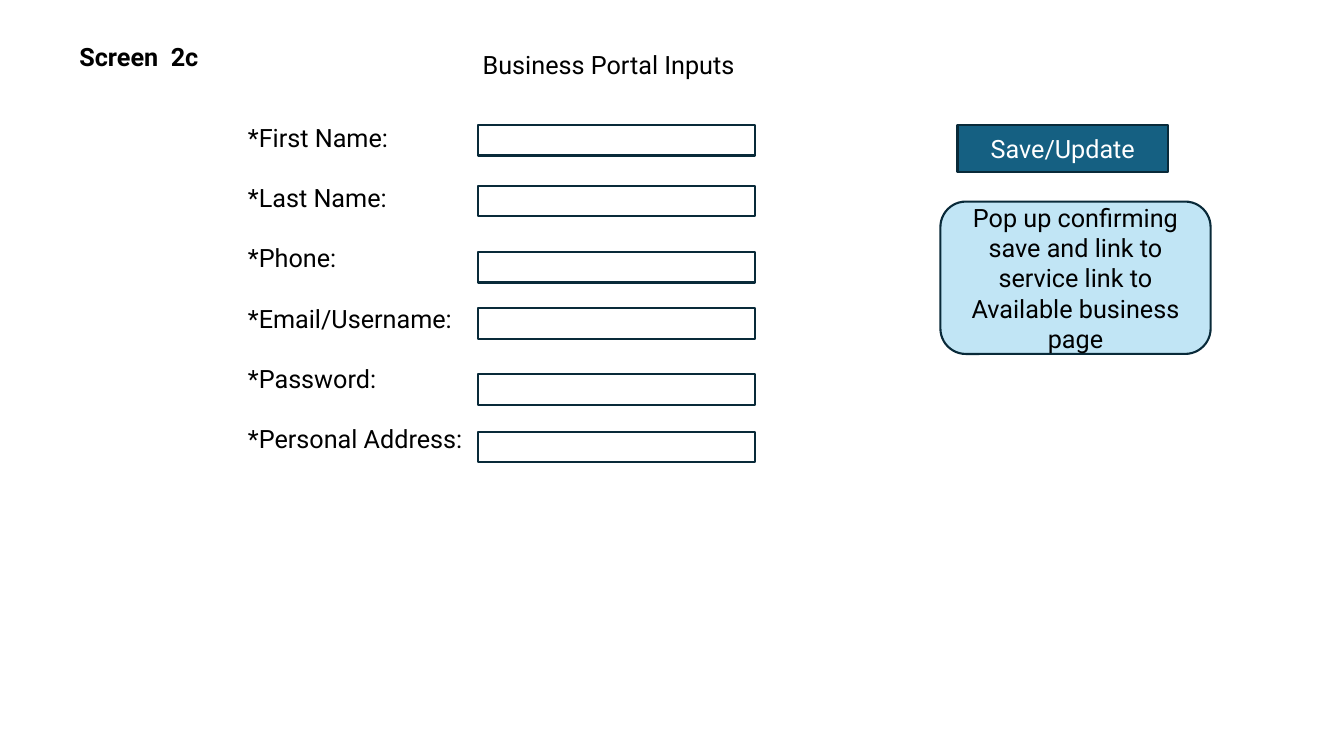
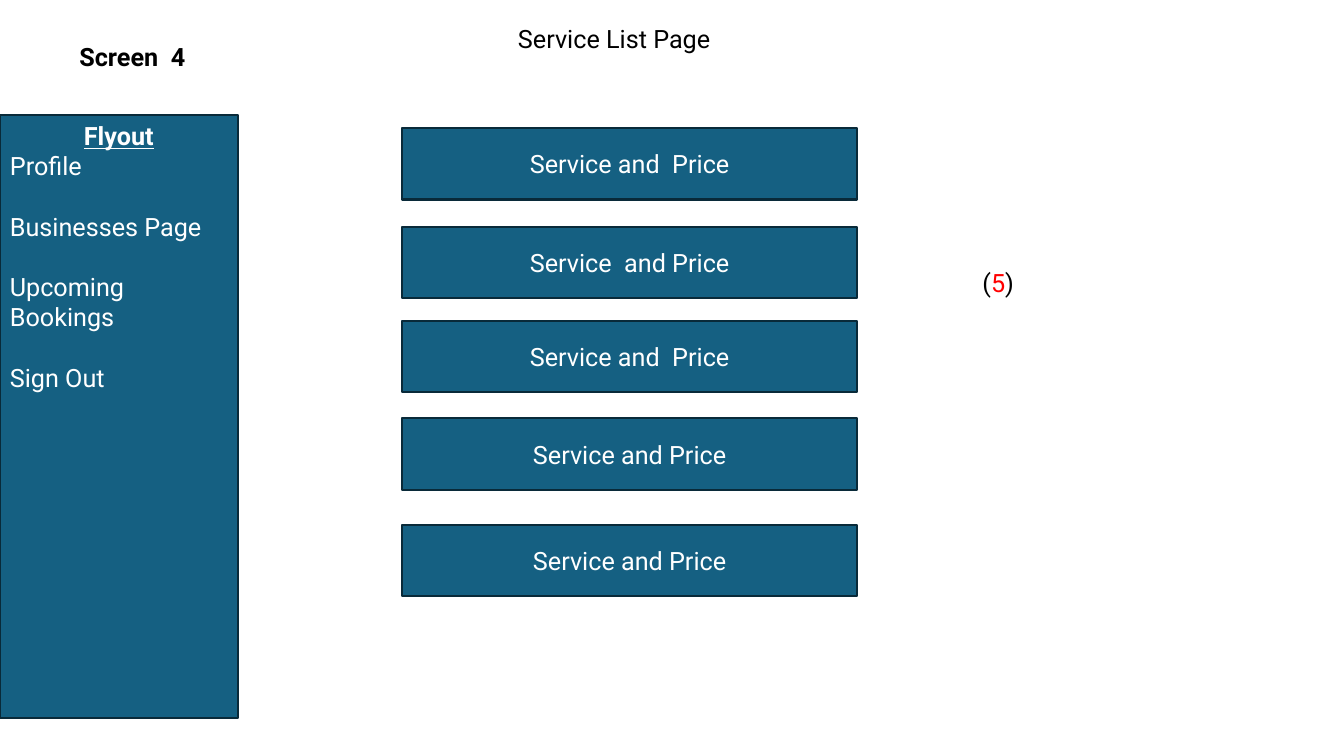
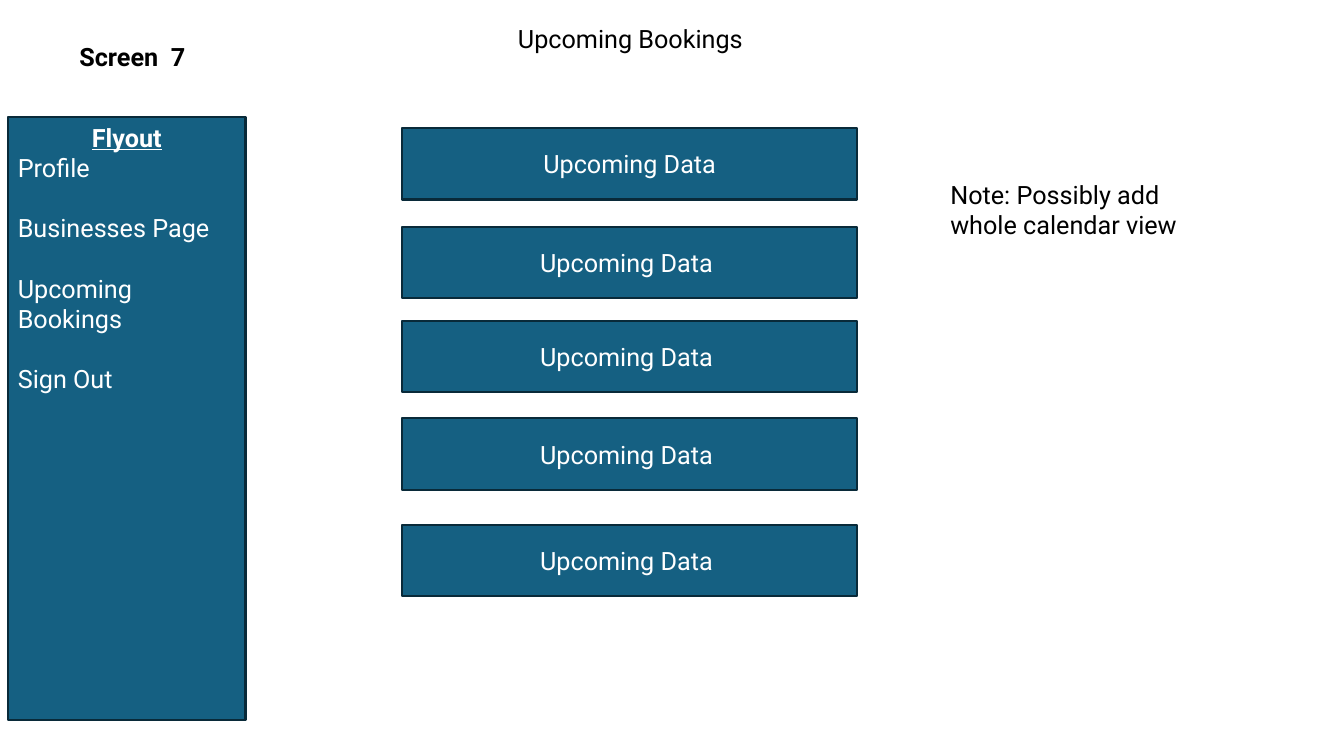
from dataclasses import dataclass

from pptx import Presentation
from pptx.dml.color import RGBColor
from pptx.enum.shapes import MSO_SHAPE
from pptx.enum.text import MSO_ANCHOR, MSO_AUTO_SIZE, PP_ALIGN
from pptx.util import Cm, Pt

RECT, ROUNDED = MSO_SHAPE.RECTANGLE, MSO_SHAPE.ROUNDED_RECTANGLE
TOP, MIDDLE = MSO_ANCHOR.TOP, MSO_ANCHOR.MIDDLE
LEFT, CENTER = PP_ALIGN.LEFT, PP_ALIGN.CENTER
NO_FIT = MSO_AUTO_SIZE.NONE
TITLE_ONLY = 5


@dataclass(frozen=True)
class Theme:
    font: str = "Roboto"
    size: Pt = Pt(18)
    line_gap: Pt = Pt(21.5)
    border: Pt = Pt(1.5)
    ink: RGBColor = RGBColor(0x00, 0x00, 0x00)
    paper: RGBColor = RGBColor(0xFF, 0xFF, 0xFF)
    accent: RGBColor = RGBColor(0x15, 0x60, 0x82)
    outline: RGBColor = RGBColor(0x09, 0x2A, 0x39)
    popup: RGBColor = RGBColor(0xC1, 0xE5, 0xF5)
    alert: RGBColor = RGBColor(0xFF, 0x00, 0x00)


THEME = Theme()

# Boxes are left, top, width, height in centimetres
SCREEN_BOX = (1.75, 0.91, 4.45, 1.02)
LIST_TITLE_BOX = (12.8, 0.46, 9.68, 1.02)
CARD_BOX = (10.13, 3.23, 11.48, 1.8)
CARD_OFFSETS = (0, 2.49, 4.85, 7.31, 10)
FLYOUT_SIZE = (5.99, 15.19)
FLYOUT_ITEMS = ("Profile", "Businesses Page", "Upcoming Bookings", "Sign Out")
FORM_BOX = (6, 2.95, 8.92, 11.02)
FIELD_LEFT, FIELD_WIDTH, FIELD_HEIGHT = 6.05, 6.98, 0.77
FORM_FIELDS = (  # label and the offset of its input from the form top
    ("*First Name:", 0.2),
    ("*Last Name:", 1.73),
    ("*Phone:", 3.4),
    ("*Email/Username:", 4.82),
    ("*Password:", 6.48),
    ("*Personal Address:", 7.93),
)


def emu(box):
    return [Cm(length) for length in box]


def add_run(paragraph, text, color, bold=False, underline=False):
    run = paragraph.add_run()
    run.text = text
    font = run.font
    font.name, font.size = THEME.font, THEME.size
    font.bold, font.underline = bold, underline
    font.color.rgb = color


def set_frame(frame, anchor=TOP):
    frame.word_wrap = True
    frame.auto_size = NO_FIT
    frame.vertical_anchor = anchor
    return frame


def add_text(slide, box, text, bold=False):
    frame = set_frame(slide.shapes.add_textbox(*emu(box)).text_frame)
    if text:
        add_run(frame.paragraphs[0], text, THEME.ink, bold)
    return frame


def add_panel(slide, box, fill=None, text="", color=THEME.paper, outline=RECT):
    panel = slide.shapes.add_shape(outline, *emu(box))
    panel.shadow.inherit = False
    panel.line.color.rgb = THEME.outline
    panel.line.width = THEME.border
    if fill is None:
        panel.fill.background()
    else:
        panel.fill.solid()
        panel.fill.fore_color.rgb = fill
    frame = set_frame(panel.text_frame, MIDDLE)
    frame.paragraphs[0].alignment = CENTER
    if text:
        add_run(frame.paragraphs[0], text, color)
    return frame


def add_screen(deck, label, title, title_box=LIST_TITLE_BOX):
    """Start a slide with its screen label and page title."""
    slide = deck.slides.add_slide(deck.slide_layouts[TITLE_ONLY])
    heading = slide.shapes.title
    heading.left, heading.top, heading.width, heading.height = emu(title_box)
    paragraph = set_frame(heading.text_frame).paragraphs[0]
    paragraph.alignment = LEFT
    add_run(paragraph, title, THEME.ink)
    add_text(slide, SCREEN_BOX, label, bold=True)
    return slide


def add_form(slide, box):
    """Column of labels with one input beside each."""
    left, top = box[:2]
    frame = add_text(slide, box, "")
    for index, (label, offset) in enumerate(FORM_FIELDS):
        paragraph = frame.add_paragraph() if index else frame.paragraphs[0]
        if index:
            paragraph.space_before = THEME.line_gap
        add_run(paragraph, label, THEME.ink)
        add_panel(slide, (left + FIELD_LEFT, top + offset, FIELD_WIDTH, FIELD_HEIGHT))


def add_flyout(slide, left, top):
    """Side menu with an underlined heading."""
    frame = add_panel(slide, (left, top, *FLYOUT_SIZE), THEME.accent)
    frame.vertical_anchor = TOP
    add_run(frame.paragraphs[0], "Flyout", THEME.paper, bold=True, underline=True)
    for index, item in enumerate(FLYOUT_ITEMS):
        paragraph = frame.add_paragraph()
        paragraph.alignment = LEFT
        if index:
            paragraph.space_before = THEME.line_gap
        add_run(paragraph, item, THEME.paper)


def add_cards(slide, box, captions):
    left, top, width, height = box
    for offset, caption in zip(CARD_OFFSETS, captions):
        add_panel(slide, (left, top + offset, width, height), THEME.accent, caption)


def build_portal_inputs(deck):
    slide = add_screen(deck, "Screen  2c", "Business Portal Inputs",
                       (11.91, 1.12, 10.77, 1.02))
    add_form(slide, FORM_BOX)
    # Save button and its confirmation
    add_panel(slide, (24.13, 3.15, 5.31, 1.19), THEME.accent, "Save/Update")
    add_panel(slide, (23.7, 5.08, 6.81, 3.84), THEME.popup,
              "Pop up confirming save and link to service link to "
              "Available business page", THEME.ink, ROUNDED)


def build_service_list(deck):
    slide = add_screen(deck, "Screen  4", "Service List Page")
    add_cards(slide, CARD_BOX, (
        "Service and  Price", "Service  and Price", "Service and  Price",
        "Service and Price", "Service and Price"))
    # Reference to the next screen
    reference = add_text(slide, (24.51, 6.6, 2.24, 1.02), "(").paragraphs[0]
    add_run(reference, "5", THEME.alert)
    add_run(reference, ")", THEME.ink)
    add_flyout(slide, 0, 2.91)


def build_bookings(deck):
    slide = add_screen(deck, "Screen  7", "Upcoming Bookings")
    add_flyout(slide, 0.2, 2.95)
    add_cards(slide, CARD_BOX, ["Upcoming Data"] + ["Upcoming Data "] * 4)
    add_text(slide, (23.7, 4.39, 6.71, 1.8), "Note: Possibly add whole calendar view")


def main():
    deck = Presentation()
    deck.slide_width, deck.slide_height = Cm(33.87), Cm(19.05)
    build_portal_inputs(deck)
    build_service_list(deck)
    build_bookings(deck)
    deck.save("out.pptx")


if __name__ == "__main__":
    main()
